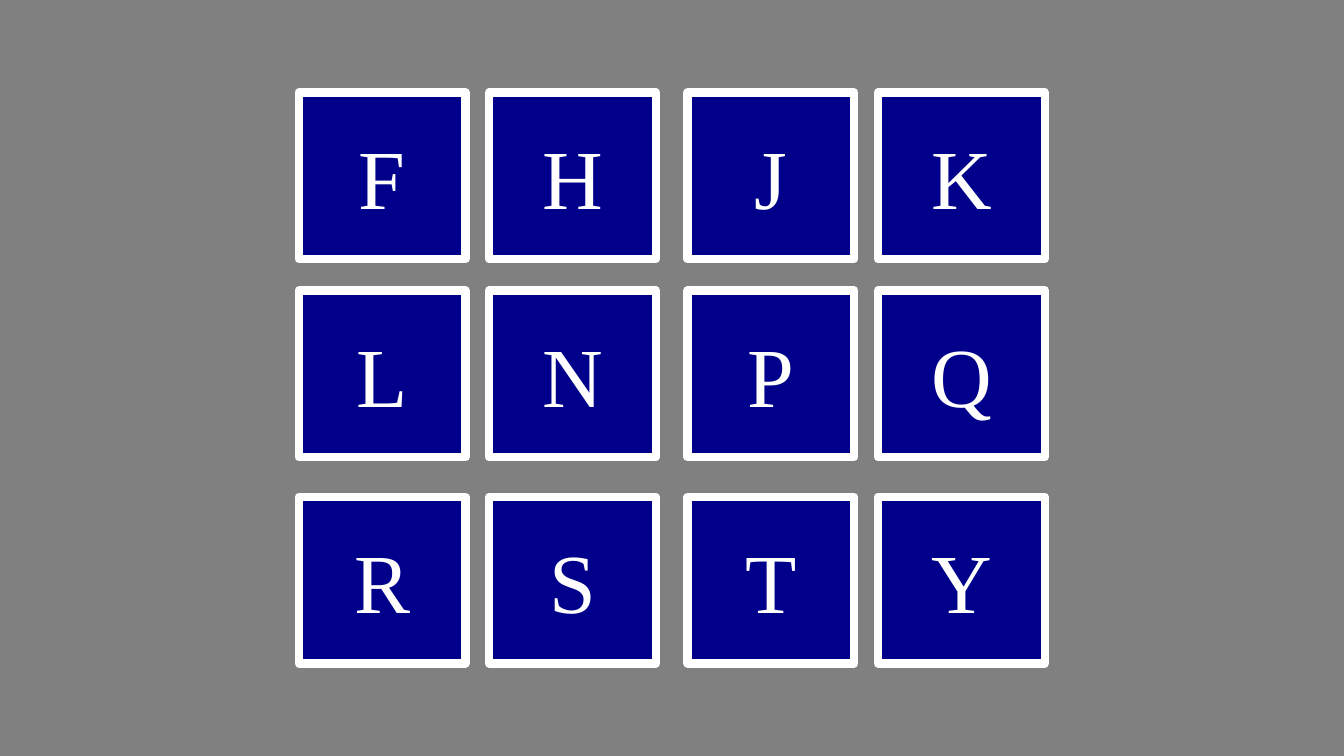
from pptx import Presentation
from pptx.dml.color import RGBColor
from pptx.enum.shapes import MSO_SHAPE as SHAPE
from pptx.enum.text import MSO_ANCHOR as ANCHOR, PP_ALIGN as ALIGN
from pptx.util import Cm, Pt

GRAY, NAVY, WHITE = "808080", "00008B", "FFFFFF"
ROWS = ["FHJK", "LNPQ", "RSTY"]
COLUMN_LEFTS = [7.53, 12.33, 17.33, 22.13]
ROW_TOPS = [2.33, 7.32, 12.52]
TILE_SIZE = 4.2


def paint(fill, color):
    fill.solid()
    fill.fore_color.rgb = RGBColor.from_string(color)


def write(tf, text, *, size, font, color, align=ALIGN.CENTER, anchor=ANCHOR.MIDDLE):
    tf.vertical_anchor = anchor
    p = tf.paragraphs[0]
    p.alignment = align
    r = p.add_run()
    r.text = text
    r.font.size = Pt(size)
    r.font.name = font
    paint(r.font.fill, color)


def add_tile(s, letter, left, top):
    sp = s.shapes.add_shape(SHAPE.RECTANGLE, Cm(left), Cm(top),
                            Cm(TILE_SIZE), Cm(TILE_SIZE))
    sp.shadow.inherit = False
    paint(sp.fill, NAVY)
    paint(sp.line.fill, WHITE)
    sp.line.width = Pt(6)
    write(sp.text_frame, letter, size=60, font="Times New Roman", color=WHITE)


def main():
    prs = Presentation()
    prs.slide_width, prs.slide_height = Cm(33.87), Cm(19.05)
    s = prs.slides.add_slide(prs.slide_layouts[6])
    paint(s.background.fill, GRAY)
    for letters, top in zip(ROWS, ROW_TOPS):
        for letter, left in zip(letters, COLUMN_LEFTS):
            add_tile(s, letter, left, top)
    prs.save("out.pptx")


if __name__ == "__main__":
    main()
